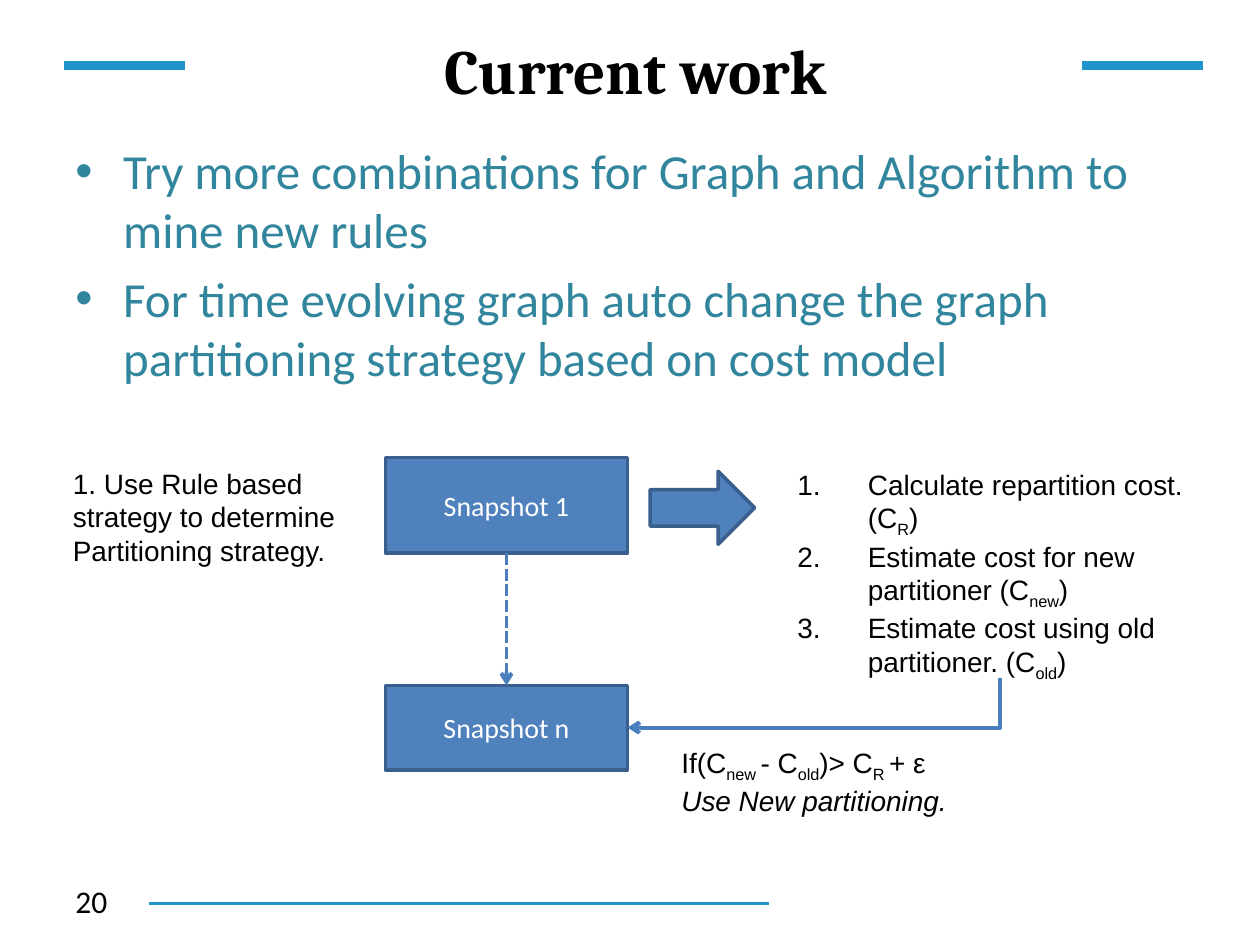
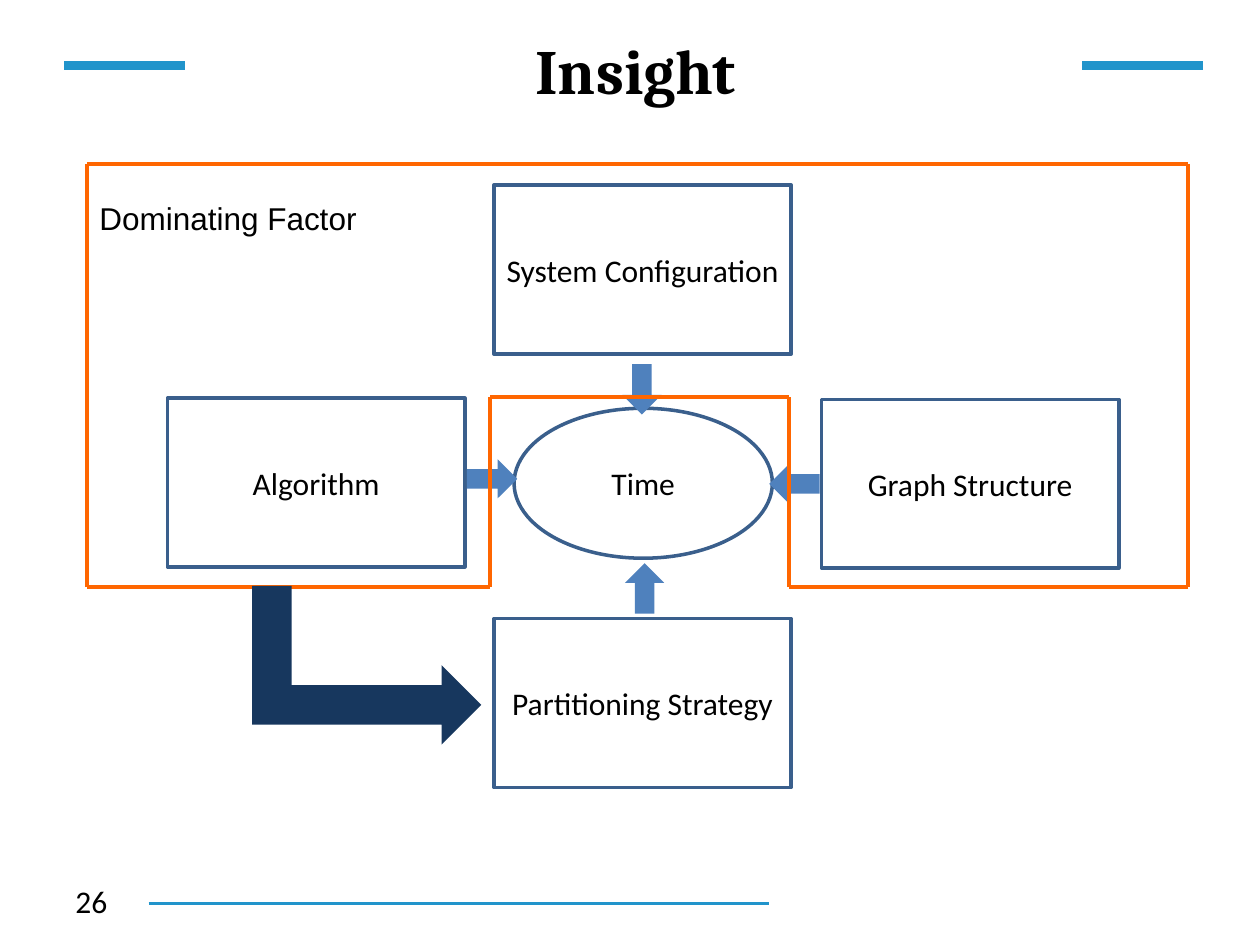
"""Build two slides on graph partitioning: current work and insight."""
from dataclasses import dataclass
from itertools import pairwise

from lxml.etree import SubElement
from pptx import Presentation
from pptx.dml.color import RGBColor
from pptx.enum.dml import MSO_LINE
from pptx.enum.shapes import MSO_CONNECTOR as LINK, MSO_SHAPE as SHAPE
from pptx.enum.text import MSO_ANCHOR as ANCHOR, MSO_AUTO_SIZE as AUTO, PP_ALIGN as ALIGN
from pptx.oxml.ns import qn
from pptx.util import Inches, Pt


@dataclass(frozen=True)
class Theme:
    black: str = "000000"
    white: str = "FFFFFF"
    band: str = "2194CB"
    body: str = "31859C"
    blue: str = "4F81BD"
    outline: str = "3A5F8C"
    link: str = "4B7EBC"
    frame: str = "FF6600"
    navy: str = "17375E"
    heading_font: str = "Cambria"
    body_font: str = "Calibri"
    note_font: str = "Arial"
    title_size: int = 36
    body_size: int = 28
    label_size: int = 18
    note_size: int = 16


THEME = Theme()
TOP, LEFT, BOTTOM, RIGHT = range(4)


def color(code):
    return RGBColor.from_string(code)


def format_text(frame, font, size, code, bold=False):
    for para in frame.paragraphs:
        for span in para.runs:
            span.font.name = font
            span.font.size = Pt(size)
            span.font.bold = bold
            span.font.color.rgb = color(code)


def fill_paragraph(para, text):
    """Write text whose parts between tildes are subscripts."""
    for index, part in enumerate(text.split("~")):
        span = para.add_run()
        span.text = part
        if index % 2:
            span.font._element.set("baseline", "-25000")


def add_text(slide, place, lines, font, size, code=THEME.black, wrap=True, bold=False):
    box = slide.shapes.add_textbox(*map(Inches, place))
    frame = box.text_frame
    frame.word_wrap = wrap
    for index, line in enumerate(lines):
        para = frame.paragraphs[0] if index == 0 else frame.add_paragraph()
        fill_paragraph(para, line)
    format_text(frame, font, size, code, bold)
    return box


def add_note(slide, place, lines, size=THEME.note_size, wrap=True):
    box = add_text(slide, place, lines, THEME.note_font, size, wrap=wrap)
    box.text_frame.auto_size = AUTO.SHAPE_TO_FIT_TEXT
    return box


def add_list_marks(box, indent, tag, **marks):
    for para in box.text_frame.paragraphs:
        props = para._p.get_or_add_pPr()
        props.set("marL", str(Inches(indent)))
        props.set("indent", str(-Inches(indent)))
        SubElement(props, qn("a:buFont"), typeface=THEME.note_font)
        SubElement(props, qn(tag), **marks)


def add_block(slide, kind, place, fill, outline=None, rotation=0):
    block = slide.shapes.add_shape(kind, *map(Inches, place))
    block.shadow.inherit = False
    block.rotation = rotation
    block.fill.solid()
    block.fill.fore_color.rgb = color(fill)
    if outline:
        block.line.color.rgb = color(outline)
        block.line.width = Pt(2)
    else:
        block.line.fill.background()
    return block


def add_labelled_block(slide, kind, place, label, fill, ink, size):
    block = add_block(slide, kind, place, fill, THEME.outline)
    frame = block.text_frame
    frame.word_wrap = True
    frame.vertical_anchor = ANCHOR.MIDDLE
    frame.text = label
    frame.paragraphs[0].alignment = ALIGN.CENTER
    format_text(frame, THEME.body_font, size, ink)
    return block


def add_line(slide, start, end, code, width, kind=LINK.STRAIGHT, dash=None, arrow=False):
    line = slide.shapes.add_connector(kind, *map(Inches, (*start, *end)))
    line.line.color.rgb = color(code)
    line.line.width = Pt(width)
    if dash:
        line.line.dash_style = dash
    if arrow:
        SubElement(line.line._get_or_add_ln(), qn("a:tailEnd"), type="arrow")
    SubElement(line._element.spPr, qn("a:effectLst"))
    return line


def join(line, first, first_side, second, second_side):
    line.begin_connect(first, first_side)
    line.end_connect(second, second_side)


def add_corner_link(slide, source, target):
    """Link down from the source, then left into the target."""
    start = (source.left + source.width // 2, source.top + source.height)
    end = (target.left + target.width, target.top + target.height // 2)
    link = add_line(slide, (0, 0), (1, 1), THEME.link, 2.25, LINK.ELBOW, arrow=True)
    join(link, source, BOTTOM, target, RIGHT)
    drop, run = end[1] - start[1], start[0] - end[0]
    shape_props = link._element.spPr
    for flip in ("flipH", "flipV"):
        shape_props.xfrm.attrib.pop(flip, None)
    shape_props.xfrm.set("rot", "5400000")
    shape_props.find(qn("a:prstGeom")).set("prst", "bentConnector2")
    link.width, link.height = drop, run
    link.left = (start[0] + end[0] - drop) // 2
    link.top = (start[1] + end[1] - run) // 2


def start_slide(deck, title, number):
    slide = deck.slides.add_slide(deck.slide_layouts[6])
    for left in (0.51, 8.59):
        add_line(slide, (left, 0.52), (left + 0.96, 0.52), THEME.band, 5)
    add_line(slide, (1.18, 7.17), (6.1, 7.17), THEME.band, 1.5)
    heading = add_text(slide, (1.54, 0.13, 7.01, 0.84), [title],
                       THEME.heading_font, THEME.title_size, bold=True)
    heading.text_frame.vertical_anchor = ANCHOR.MIDDLE
    heading.text_frame.paragraphs[0].alignment = ALIGN.CENTER
    add_text(slide, (0.5, 6.95, 2.33, 0.4), [number], THEME.body_font, THEME.label_size)
    return slide


def build_current_work(deck):
    slide = start_slide(deck, "Current work", "20")
    body = add_text(slide, (0.5, 1.07, 9, 5.63), [
        "Try more combinations for Graph and Algorithm to mine new rules",
        "For time evolving graph auto change the graph partitioning strategy based on cost model",
    ], THEME.body_font, THEME.body_size, THEME.body)
    for para in body.text_frame.paragraphs:
        para.space_before = Pt(0.2 * THEME.body_size)
    add_list_marks(body, 0.38, "a:buChar", char="•")

    first, last = [
        add_labelled_block(slide, SHAPE.RECTANGLE, (3.06, top, 1.92, height), label,
                           THEME.blue, THEME.white, THEME.note_size)
        for label, top, height in (("Snapshot 1", 3.63, 0.76), ("Snapshot n", 5.44, 0.67))
    ]
    add_note(slide, (0.48, 3.65, 2.42, 0.91),
             ["1. Use Rule based strategy to determine", "Partitioning strategy."])
    add_block(slide, SHAPE.RIGHT_ARROW, (5.16, 3.74, 0.83, 0.58), THEME.blue, THEME.outline)
    costs = add_note(slide, (6.23, 3.66, 3.42, 1.72), [
        "Calculate repartition cost.(C~R~)",
        "Estimate cost for new partitioner (C~new~)",
        "Estimate cost using old partitioner. (C~old~)",
    ])
    add_list_marks(costs, 0.56, "a:buAutoNum", type="arabicPeriod")
    evolution = add_line(slide, (4.02, 4.39), (4.02, 5.44), THEME.link, 2.25,
                         dash=MSO_LINE.SQUARE_DOT, arrow=True)
    join(evolution, first, BOTTOM, last, TOP)
    add_corner_link(slide, costs, last)
    rule = add_note(slide, (5.31, 5.87, 2.4, 0.64),
                    ["If(C~new ~- C~old~)> C~R ~+ ε", "Use New partitioning."], wrap=False)
    rule.text_frame.paragraphs[1].runs[0].font.italic = True


def build_insight(deck):
    slide = start_slide(deck, "Insight", "26")
    factors = (
        ("System Configuration", 3.92, 1.47),
        ("Algorithm", 1.33, 3.16),
        ("Graph Structure", 6.52, 3.17),
        ("Partitioning Strategy", 3.92, 4.91),
    )
    for label, left, top in factors:
        add_labelled_block(slide, SHAPE.RECTANGLE, (left, top, 2.36, 1.34), label,
                           THEME.white, THEME.black, THEME.label_size)
    add_labelled_block(slide, SHAPE.OVAL, (4.08, 3.24, 2.05, 1.19), "Time",
                       THEME.white, THEME.black, THEME.label_size)
    for left, top, rotation in ((4.94, 2.89, 0), (4.96, 4.47, 180),
                                (3.75, 3.6, 270), (6.15, 3.64, 90)):
        add_block(slide, SHAPE.DOWN_ARROW, (left, top, 0.31, 0.4), THEME.blue,
                  rotation=rotation)

    frame_corners = [(0.69, 1.3), (9.43, 1.3), (9.43, 4.66), (6.26, 4.66), (6.26, 3.15),
                     (3.89, 3.15), (3.89, 4.66), (0.69, 4.66), (0.69, 1.3)]
    for start, end in pairwise(frame_corners):
        add_line(slide, start, end, THEME.frame, 2)
    add_note(slide, (0.69, 1.53, 2.26, 0.4), ["Dominating Factor"],
             THEME.label_size, wrap=False)
    add_block(slide, SHAPE.BENT_UP_ARROW, (2.28, 4.37, 1.26, 1.82), THEME.navy, rotation=90)


def main():
    deck = Presentation()
    deck.slide_width, deck.slide_height = Inches(10), Inches(7.5)
    build_current_work(deck)
    build_insight(deck)
    deck.save("out.pptx")


if __name__ == "__main__":
    main()
